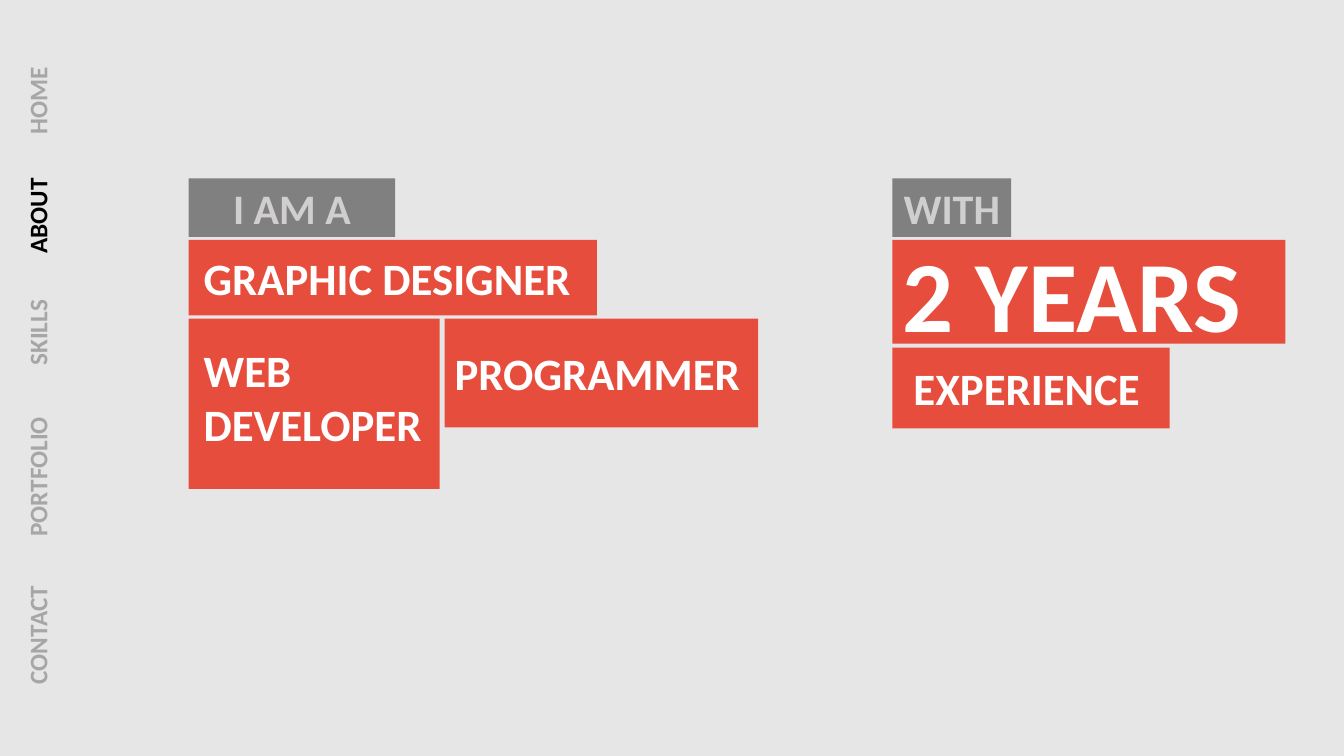
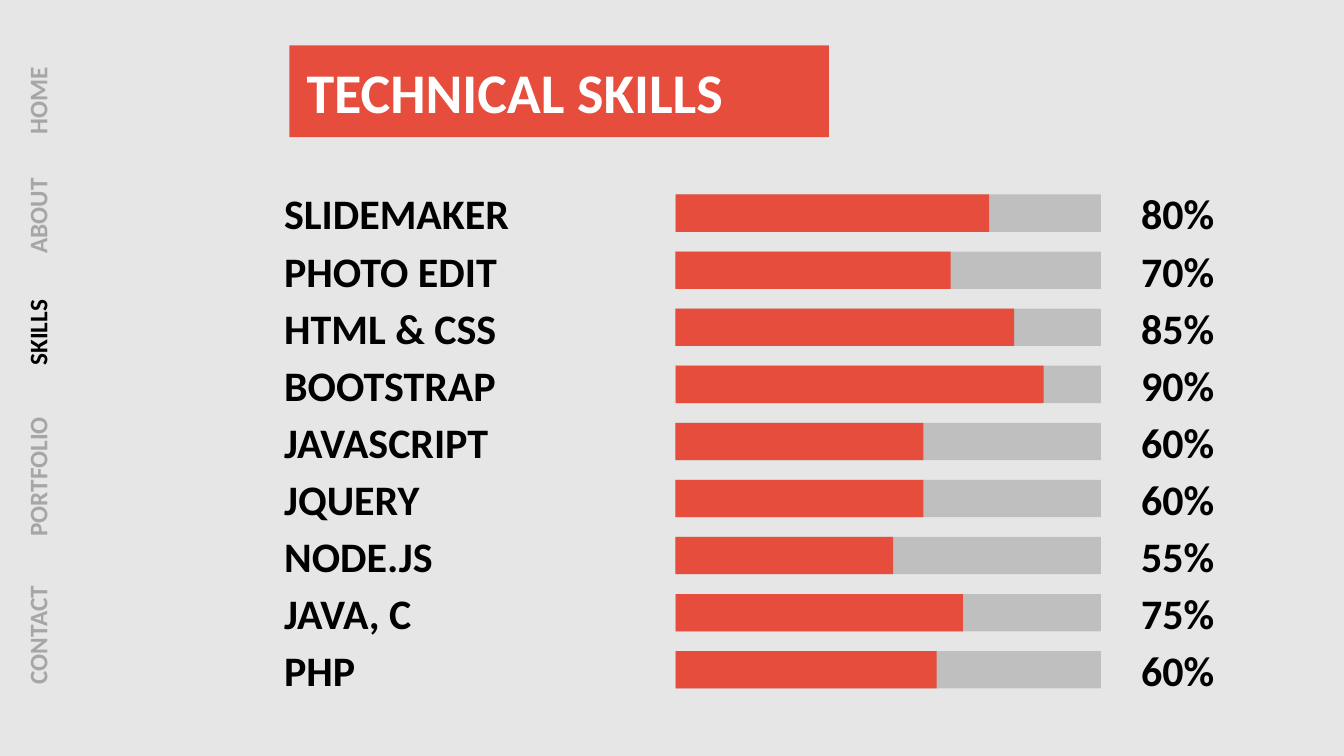
from pptx import Presentation
from pptx.dml.color import RGBColor
from pptx.enum.shapes import MSO_SHAPE as SHAPE
from pptx.enum.text import MSO_ANCHOR as ANCHOR, MSO_AUTO_SIZE as AUTO, PP_ALIGN as ALIGN
from pptx.util import Inches, Pt

# Shared style
FONT = "Calibri"
PAGE, RED, GRAY, TRACK = "E7E6E6", "E74D3C", "808080", "BFBFBF"
WHITE, BLACK, PALE, MUTED = "FFFFFF", "000000", "D0CECE", "A6A6A6"

# Content: menu entries with the centre height of each
MENU = [("HOME", 1.0), ("ABOUT", 2.14), ("SKILLS", 3.3),
        ("PORTFOLIO", 4.73), ("CONTACT", 6.3)]
MENU_X, MENU_W, MENU_H = 0.37, 1.5, 0.4

# Text, (left, top, width, height), fill, font size, font colour, left inset (None = centred)
ABOUT_BLOCKS = [
    ("I AM A", (1.87, 1.77, 2.05, 0.58), GRAY, 30, PALE, None),
    ("GRAPHIC DESIGNER", (1.87, 2.38, 4.05, 0.75), RED, 32, WHITE, 0.15),
    ("WEB DEVELOPER", (1.87, 3.16, 2.49, 1.69), RED, 32, WHITE, 0.15),
    ("PROGRAMMER", (4.41, 3.16, 3.11, 1.08), RED, 32, WHITE, 0.1),
    ("WITH", (8.85, 1.77, 1.18, 0.58), GRAY, 30, PALE, None),
    ("2 YEARS", (8.85, 2.38, 3.9, 1.03), RED, 72, WHITE, 0.1),
    ("EXPERIENCE", (8.85, 3.45, 2.75, 0.8), RED, 32, WHITE, 0.21),
]

# Skill, value shown, length of the filled bar
SKILLS = [
    ("SLIDEMAKER", "80%", 3.11), ("PHOTO EDIT", "70%", 2.73),
    ("HTML & CSS", "85%", 3.36), ("BOOTSTRAP", "90%", 3.65),
    ("JAVASCRIPT", "60%", 2.46), ("JQUERY", "60%", 2.46),
    ("NODE.JS", "55%", 2.16), ("JAVA, C", "75%", 2.85),
    ("PHP", "60%", 2.59),
]
BAR_X, BAR_W, BAR_H = 6.7, 4.22, 0.37
FIRST_TOP, LAST_TOP = 1.93, 6.46
LABEL_X, LABEL_W, VALUE_X, VALUE_W, LABEL_H = 2.72, 3.1, 11.22, 1.14, 0.61


def rgb(color):
    return RGBColor.from_string(color)


def write(s, text, size, color, inset=None):
    """Put bold text in a shape; without an inset it is centred."""
    tf = s.text_frame
    tf.word_wrap = True
    tf.auto_size = AUTO.NONE
    tf.vertical_anchor = ANCHOR.MIDDLE
    tf.margin_left = Inches(inset or 0)
    tf.margin_right = tf.margin_top = tf.margin_bottom = 0
    p = tf.paragraphs[0]
    p.text = text
    p.alignment = ALIGN.CENTER if inset is None else ALIGN.LEFT
    p.font.name, p.font.size, p.font.bold = FONT, Pt(size), True
    p.font.color.rgb = rgb(color)


def paint(s, color):
    s.fill.solid()
    s.fill.fore_color.rgb = rgb(color)
    s.line.fill.background()


def add_rect(slide, box, color):
    s = slide.shapes.add_shape(SHAPE.RECTANGLE, *map(Inches, box))
    s.shadow.inherit = False
    paint(s, color)
    return s


def add_text(slide, box, text, size, color, inset=None):
    s = slide.shapes.add_textbox(*map(Inches, box))
    write(s, text, size, color, inset)
    return s


def add_menu(slide, current):
    for name, y in MENU:
        box = (MENU_X - MENU_W / 2, y - MENU_H / 2, MENU_W, MENU_H)
        s = add_text(slide, box, name, 18, BLACK if name == current else MUTED)
        s.rotation = 270


prs = Presentation()
prs.slide_width, prs.slide_height = Inches(13.33), Inches(7.5)
background = prs.slide_master.background.fill
background.solid()
background.fore_color.rgb = rgb(PAGE)
TITLE_ONLY, BLANK = prs.slide_layouts[5], prs.slide_layouts[6]

# About slide
slide = prs.slides.add_slide(BLANK)
add_menu(slide, "ABOUT")
for text, box, fill, size, color, inset in ABOUT_BLOCKS:
    s = add_rect(slide, box, fill)
    write(s, text, size, color, inset)
    if text == "WEB DEVELOPER":
        s.text_frame.margin_bottom = Inches(0.14)

# Skills slide
slide = prs.slides.add_slide(TITLE_ONLY)
add_menu(slide, "SKILLS")
title = slide.shapes.title
title.left, title.top, title.width, title.height = map(Inches, (2.87, 0.45, 5.35, 0.91))
paint(title, RED)
write(title, "TECHNICAL SKILLS", 40, WHITE, 0.17)

# Skill rows at equal steps
step = (LAST_TOP - FIRST_TOP) / (len(SKILLS) - 1)
for i, (skill, value, length) in enumerate(SKILLS):
    top = FIRST_TOP + i * step
    label_top = top + (BAR_H - LABEL_H) / 2
    add_rect(slide, (BAR_X, top, BAR_W, BAR_H), TRACK)
    add_rect(slide, (BAR_X, top, length, BAR_H), RED)
    add_text(slide, (LABEL_X, label_top, LABEL_W, LABEL_H), skill, 30, BLACK, 0.1)
    add_text(slide, (VALUE_X, label_top, VALUE_W, LABEL_H), value, 30, BLACK, 0.1)

prs.save("out.pptx")
